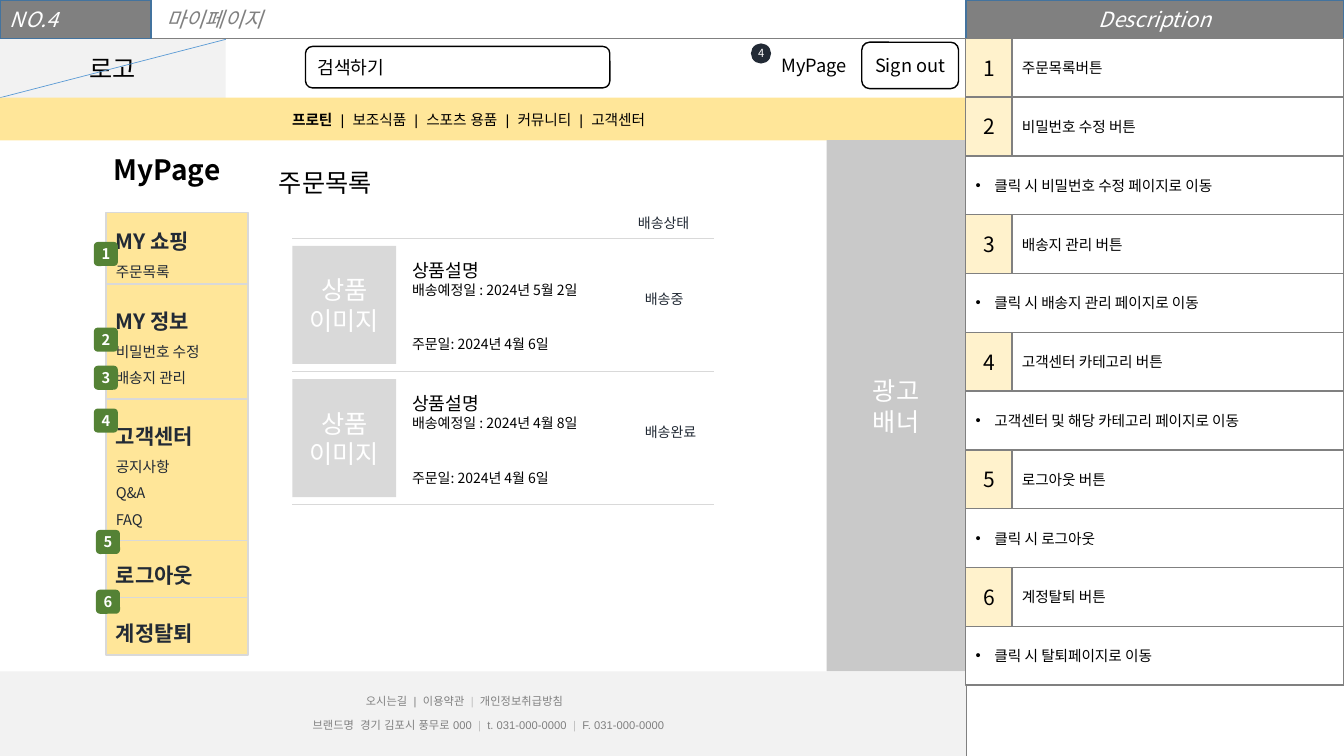
"""Build the wireframe slide of a shop's my-page screen with its description panel."""
from lxml import etree
from pptx import Presentation
from pptx.dml.color import RGBColor
from pptx.enum.shapes import MSO_CONNECTOR, MSO_SHAPE
from pptx.enum.text import MSO_ANCHOR, MSO_AUTO_SIZE, PP_ALIGN
from pptx.oxml.ns import qn
from pptx.util import Pt

RECT, ROUND, OVAL = MSO_SHAPE.RECTANGLE, MSO_SHAPE.ROUNDED_RECTANGLE, MSO_SHAPE.OVAL
STRAIGHT = MSO_CONNECTOR.STRAIGHT
LEFT, CENTER = PP_ALIGN.LEFT, PP_ALIGN.CENTER
TOP, MIDDLE = MSO_ANCHOR.TOP, MSO_ANCHOR.MIDDLE
FIT = MSO_AUTO_SIZE.SHAPE_TO_FIT_TEXT
SANS, ARIAL = "Noto Sans CJK KR", "Arial"
COLORS = {
    "white": "FFFFFF", "black": "000000", "gray": "808080", "silver": "BFBFBF",
    "rule": "D9D9D9", "pale": "F2F2F2", "banner": "C9C9C9", "navy": "222A35",
    "yellow": "FFE699", "cream": "FFF2CC", "green": "548235",
    "edge": "43739E", "blue": "5B9BD5",
}


def write(frame, paragraphs, align=LEFT, anchor=TOP, font=SANS, italic=False):
    """Fill a frame with paragraphs made of (text, size, colour, bold) runs."""
    frame.vertical_anchor = anchor
    for index, runs in enumerate(paragraphs):
        para = frame.paragraphs[0] if index == 0 else frame.add_paragraph()
        para.alignment = align
        for text, size, color, bold in runs:
            span = para.add_run()
            span.text = text
            span.font.size = Pt(size)
            span.font.bold = bold
            span.font.italic = italic
            span.font.name = font
            span.font.color.rgb = RGBColor.from_string(COLORS[color])
            east = etree.SubElement(span.font._element, qn("a:ea"))
            east.set("typeface", font)


def add_box(kind, place, fill=None, line=None):
    """Add a preset shape, or a text box when kind is None, and return it."""
    spot = [Pt(value) for value in place]
    if kind is None:
        box = page.shapes.add_textbox(*spot)
        box.text_frame.word_wrap = True
        box.text_frame.auto_size = FIT
        return box
    box = page.shapes.add_shape(kind, *spot)
    box.shadow.inherit = False
    if fill:
        box.fill.solid()
        box.fill.fore_color.rgb = RGBColor.from_string(COLORS[fill])
    else:
        box.fill.background()
    if line:
        box.line.color.rgb = RGBColor.from_string(COLORS[line])
        box.line.width = Pt(1)
    else:
        box.line.fill.background()
    return box


deck = Presentation()
deck.slide_width, deck.slide_height = Pt(960), Pt(540)
page = deck.slides.add_slide(deck.slide_layouts[5])

title = page.shapes.title
title.left, title.top, title.width, title.height = Pt(111.6), Pt(1.4), Pt(124), Pt(25.2)
write(title.text_frame, [[("마이페이지", 15, "gray", False)]], italic=True)

add_box(RECT, (0, 27.4, 690, 42.5), "white")
logo = add_box(RECT, (0, 27.4, 161.3, 42.5), "pale")
write(logo.text_frame, [[("로고", 18, "black", False)]], CENTER, MIDDLE)

rules = [
    (0, 27.4, 960, 27.4, "gray"),
    (690, 0, 690, 540, "gray"),
    (0, 69.8, 161.3, 28.1, "blue"),
] + [(208.8, y, 509.8, y, "rule") for y in (170.4, 265.2, 360)]
for x1, y1, x2, y2, color in rules:
    rule = page.shapes.add_connector(STRAIGHT, Pt(x1), Pt(y1), Pt(x2), Pt(y2))
    rule.line.color.rgb = RGBColor.from_string(COLORS[color])
    rule.line.width = Pt(0.5)
    etree.SubElement(rule._element.spPr, qn("a:effectLst"))

headers = [
    ((0, 0, 108, 27.4), "NO.4", LEFT),
    ((690, 0, 270, 27.4), "Description", CENTER),
]
for place, text, align in headers:
    header = add_box(RECT, place, "gray", "edge")
    write(header.text_frame, [[(text, 15, "white", False)]], align, MIDDLE, italic=True)

controls = [
    ((218.2, 33.2, 217.4, 29.6), "검색하기", LEFT, "white", "black"),
    ((615.6, 30.2, 69.1, 33.1), "Sign out", CENTER, "white", "black"),
    ((546.5, 30.2, 69.8, 33.1), "MyPage", CENTER, None, None),
]
for place, text, align, fill, line in controls:
    control = add_box(ROUND, place, fill, line)
    write(control.text_frame, [[(text, 13, "black", False)]], align, MIDDLE)
counter = add_box(OVAL, (536.4, 31, 14.4, 14.4), "navy")
write(counter.text_frame, [[("4", 8, "white", False)]], CENTER, MIDDLE)

add_box(RECT, (0, 69.8, 690, 30.6), "yellow")
menu = add_box(None, (201.6, 75.6, 310.3, 20.2))
write(menu.text_frame, [[
    ("프로틴  ", 10.5, "black", True),
    ("|  보조식품  |  스포츠 용품  |  커뮤니티  |  고객센터", 10.5, "black", False),
]], font=ARIAL)

banner = add_box(RECT, (590.4, 100.2, 99.4, 379.4), "banner")
write(banner.text_frame, [[(text, 18, "white", False)] for text in ("광고", "배너")],
      CENTER, MIDDLE)

add_box(RECT, (0, 479.5, 690, 60.5), "pale")
footers = [
    ((254.2, 492.5, 205.2, 17.3), LEFT, [
        ("오시는길  |  이용약관  ", "gray"), ("|  ", "silver"), ("개인정보취급방침", "gray")]),
    ((171.4, 509.8, 355, 17.3), CENTER, [
        ("브랜드명  경기 김포시 풍무로 000  ", "gray"), ("|  ", "silver"),
        ("t. 031-000-0000", "gray"), ("  |  ", "silver"), ("F. 031-000-0000", "gray")]),
]
for place, align, parts in footers:
    footer = add_box(None, place)
    write(footer.text_frame, [[(text, 8, color, False) for text, color in parts]],
          align, font=ARIAL)
    footer.text_frame.paragraphs[0].space_before = Pt(3)

headings = [
    ((74.2, 105.1, 96.5, 31.7), "MyPage", 20, True),
    ((192.2, 115.9, 123.8, 28.8), "주문목록", 18, False),
]
for place, text, size, bold in headings:
    heading = add_box(None, place)
    write(heading.text_frame, [[(text, size, "black", bold)]])

groups = [
    (51, "MY 쇼핑", ["주문목록"]),
    (82, "MY 정보", ["비밀번호 수정", "배송지 관리"]),
    (101, "고객센터", ["공지사항", "Q&A", "FAQ"]),
    (41, "로그아웃", []),
    (41, "계정탈퇴", []),
]
group_top = 152
for height, name, links in groups:
    group = add_box(RECT, (75.6, group_top, 101.5, height), "yellow", "rule")
    write(group.text_frame, [[(name, 15, "navy", True)]]
          + [[(link, 10.5, "navy", False)] for link in links], anchor=MIDDLE)
    for para in group.text_frame.paragraphs:
        para.line_spacing = 1.5
    group_top += height

products = [("2024년 5월 2일", "배송중"), ("2024년 4월 8일", "배송완료")]
for index, (arrival, status) in enumerate(products):
    top = 175.7 + 95.2 * index
    image = add_box(RECT, (208.8, top, 74.2, 84.2), "rule")
    write(image.text_frame, [[(text, 18, "white", False)] for text in ("상품", "이미지")],
          CENTER, MIDDLE)
    details = add_box(None, (287.3, top + 6, 233.3, 75.6))
    write(details.text_frame, [
        [("상품설명", 13, "black", False)],
        [(f"배송예정일 : {arrival}", 10, "black", False)],
        [("주문일: 2024년 4월 6일", 10, "black", False)],
    ])
    details.text_frame.paragraphs[2].space_before = Pt(27)

states = [(448.6, 149.8, "배송상태")]
states += [(453.6, 203.8 + 95.2 * index, status)
           for index, (arrival, status) in enumerate(products)]
for left, top, text in states:
    state = add_box(None, (left, top, 54.7, 19.4))
    state.text_frame.word_wrap = False
    write(state.text_frame, [[(text, 10, "navy", False)]])

badges = [(67, 172.8), (67, 234), (67, 261.2), (67, 291.8), (68.5, 378.5), (68.5, 421.2)]
for number, (left, top) in enumerate(badges, 1):
    badge = add_box(ROUND, (left, top, 17.2, 17.2), "green")
    badge.text_frame.margin_left = badge.text_frame.margin_right = 0
    write(badge.text_frame, [[(str(number), 10.5, "white", True)]], CENTER, MIDDLE)

ROW = 42
descriptions = [
    ("주문목록버튼", None),
    ("비밀번호 수정 버튼", "클릭 시 비밀번호 수정 페이지로 이동"),
    ("배송지 관리 버튼", "클릭 시 배송지 관리 페이지로 이동"),
    ("고객센터 카테고리 버튼", "고객센터 및 해당 카테고리 페이지로 이동"),
    ("로그아웃 버튼", "클릭 시 로그아웃"),
    ("계정탈퇴 버튼", "클릭 시 탈퇴페이지로 이동"),
]
row_top = 27.4
for number, (name, action) in enumerate(descriptions, 1):
    label = add_box(RECT, (722.9, row_top, 237.1, ROW), "white", "gray")
    write(label.text_frame, [[(name, 10.5, "black", False)]], anchor=MIDDLE)
    index_cell = add_box(RECT, (689.8, row_top, 33.1, ROW), "cream", "gray")
    write(index_cell.text_frame, [[(str(number), 15, "black", False)]], CENTER, MIDDLE)
    row_top += ROW
    if action:
        note = add_box(RECT, (689.8, row_top, 270.2, ROW), "white", "gray")
        write(note.text_frame, [[(action, 10.5, "black", False)]], anchor=MIDDLE)
        properties = note.text_frame.paragraphs[0]._p.get_or_add_pPr()
        properties.set("marL", str(Pt(13.5)))
        properties.set("indent", str(-Pt(13.5)))
        etree.SubElement(properties, qn("a:buFont")).set("typeface", ARIAL)
        etree.SubElement(properties, qn("a:buChar")).set("char", "•")
        row_top += ROW

deck.save("out.pptx")
